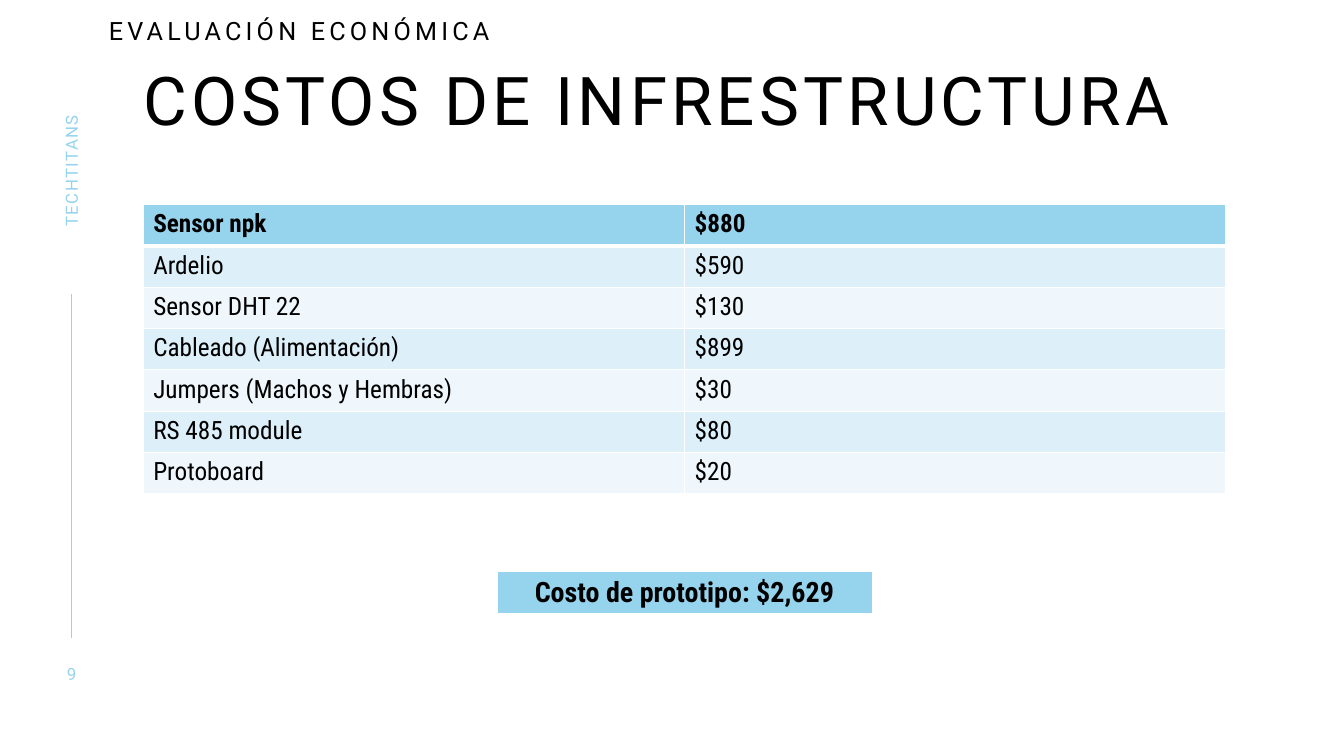
"""Build the infrastructure cost slide."""
from lxml.etree import SubElement
from pptx import Presentation
from pptx.dml.color import RGBColor
from pptx.enum.shapes import MSO_CONNECTOR
from pptx.enum.text import MSO_ANCHOR, MSO_AUTO_SIZE, PP_ALIGN
from pptx.oxml.ns import qn
from pptx.util import Inches, Pt

BLACK = RGBColor(0x00, 0x00, 0x00)
WHITE = RGBColor(0xFF, 0xFF, 0xFF)
SKY = RGBColor(0x96, 0xD3, 0xED)
BANDS = (RGBColor(0xEF, 0xF7, 0xFC), RGBColor(0xDD, 0xEF, 0xF8))

COSTS = [
    ("Sensor npk", "$880"),
    ("Ardelio", "$590"),
    ("Sensor DHT 22", "$130"),
    ("Cableado (Alimentación)", "$899"),
    ("Jumpers (Machos y Hembras)", "$30"),
    ("RS 485 module", "$80"),
    ("Protoboard", "$20"),
]
TOTAL = [("Costo de prototipo: $2,629",)]


def apply(obj, values):
    for name, value in values.items():
        setattr(obj, name, value)


def write(tf, text, size, color, spacing, align=PP_ALIGN.LEFT,
          anchor=MSO_ANCHOR.TOP, line_spacing=1.0):
    apply(tf, dict(word_wrap=True, auto_size=MSO_AUTO_SIZE.NONE,
                   vertical_anchor=anchor, margin_left=0, margin_top=0,
                   margin_right=0, margin_bottom=0))
    p = tf.paragraphs[0]
    apply(p, dict(alignment=align, line_spacing=line_spacing, space_before=Pt(0)))
    r = p.add_run()
    r.text = text
    apply(r.font, dict(name="Roboto", size=Pt(size), bold=False))
    r.font.color.rgb = color
    r.font._element.set("spc", str(spacing * 100))


def place(sp, left, top, width, height):
    apply(sp, dict(left=Inches(left), top=Inches(top),
                   width=Inches(width), height=Inches(height)))


def add_label(slide, box, text, size, color, spacing, rotation=0, **layout):
    sp = slide.shapes.add_textbox(*map(Inches, box))
    sp.rotation = rotation
    write(sp.text_frame, text, size, color, spacing, **layout)


def add_rule(slide, x, top, bottom):
    line = slide.shapes.add_connector(
        MSO_CONNECTOR.STRAIGHT, Inches(x), Inches(top), Inches(x), Inches(bottom))
    line.line.color.rgb = SKY
    line.line.width = Pt(1)
    SubElement(line._element.spPr, qn("a:effectLst"))


def set_borders(cell, widths):
    tc_pr = cell._tc.get_or_add_tcPr()
    for side, width in widths.items():
        ln = SubElement(tc_pr, qn(f"a:ln{side}"), w=str(Pt(width)))
        fill = SubElement(ln, qn("a:solidFill"))
        SubElement(fill, qn("a:srgbClr"), val=str(WHITE))


def add_cost_table(slide, rows, left, top, width, row_height, size, align):
    count = len(rows)
    table = slide.shapes.add_table(
        count, len(rows[0]), Inches(left), Inches(top),
        Inches(width), Inches(row_height * count)).table
    for i, row in enumerate(rows):
        table.rows[i].height = Inches(row_height)
        for j, text in enumerate(row):
            cell = table.cell(i, j)
            set_borders(cell, dict(L=1, R=1, T=3 if i == 1 else 1, B=1 if i else 3))
            cell.fill.solid()
            cell.fill.fore_color.rgb = BANDS[i % 2] if i else SKY
            p = cell.text_frame.paragraphs[0]
            p.alignment = align
            r = p.add_run()
            r.text = text
            apply(r.font, dict(name="Roboto Condensed", size=Pt(size), bold=i == 0))
            r.font.color.rgb = BLACK


def main():
    prs = Presentation()
    apply(prs, dict(slide_width=Inches(13.33), slide_height=Inches(7.5)))
    slide = prs.slides.add_slide(prs.slide_layouts[5])
    centered = dict(align=PP_ALIGN.CENTER, anchor=MSO_ANCHOR.MIDDLE)

    add_rule(slide, 0.71, 2.92, 6.33)
    title = slide.shapes.title
    place(title, 1.42, 0.67, 11, 1)
    write(title.text_frame, "COSTOS DE INFRESTRUCTURA", 48, BLACK, 3, line_spacing=0.9)
    add_label(slide, (-0.27, 1.59, 1.95, 0.21), "TECHTITANS", 12, SKY, 1,
              rotation=270, **centered)
    add_label(slide, (0.46, 6.58, 0.5, 0.2), "9", 12, SKY, 2, **centered)
    add_cost_table(slide, COSTS, 1.42, 2.03, 10.74, 0.41, 18, PP_ALIGN.LEFT)
    add_cost_table(slide, TOTAL, 4.93, 5.67, 3.72, 0.43, 20, PP_ALIGN.CENTER)
    add_label(slide, (1.08, 0.19, 4.2, 0.38), "EVALUACIÓN ECONÓMICA", 18, BLACK, 3,
              line_spacing=0.9)
    prs.save("out.pptx")


if __name__ == "__main__":
    main()
